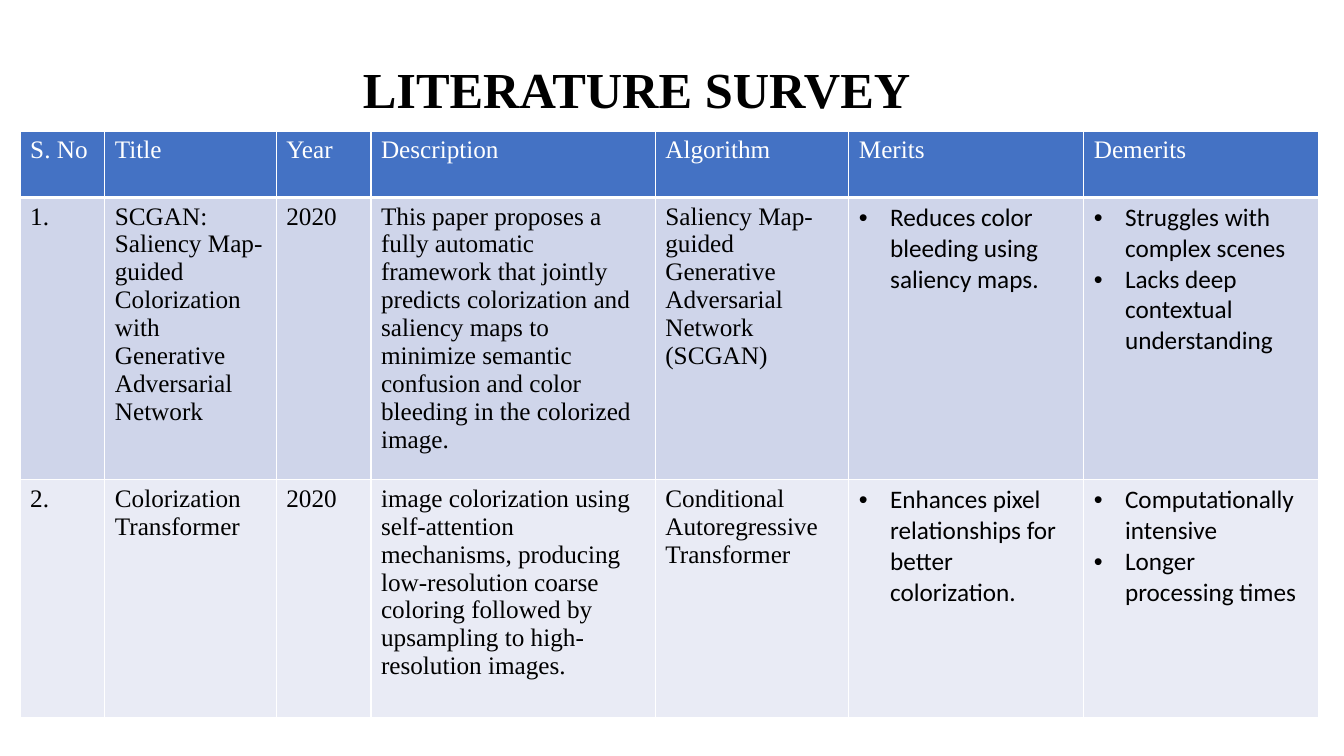
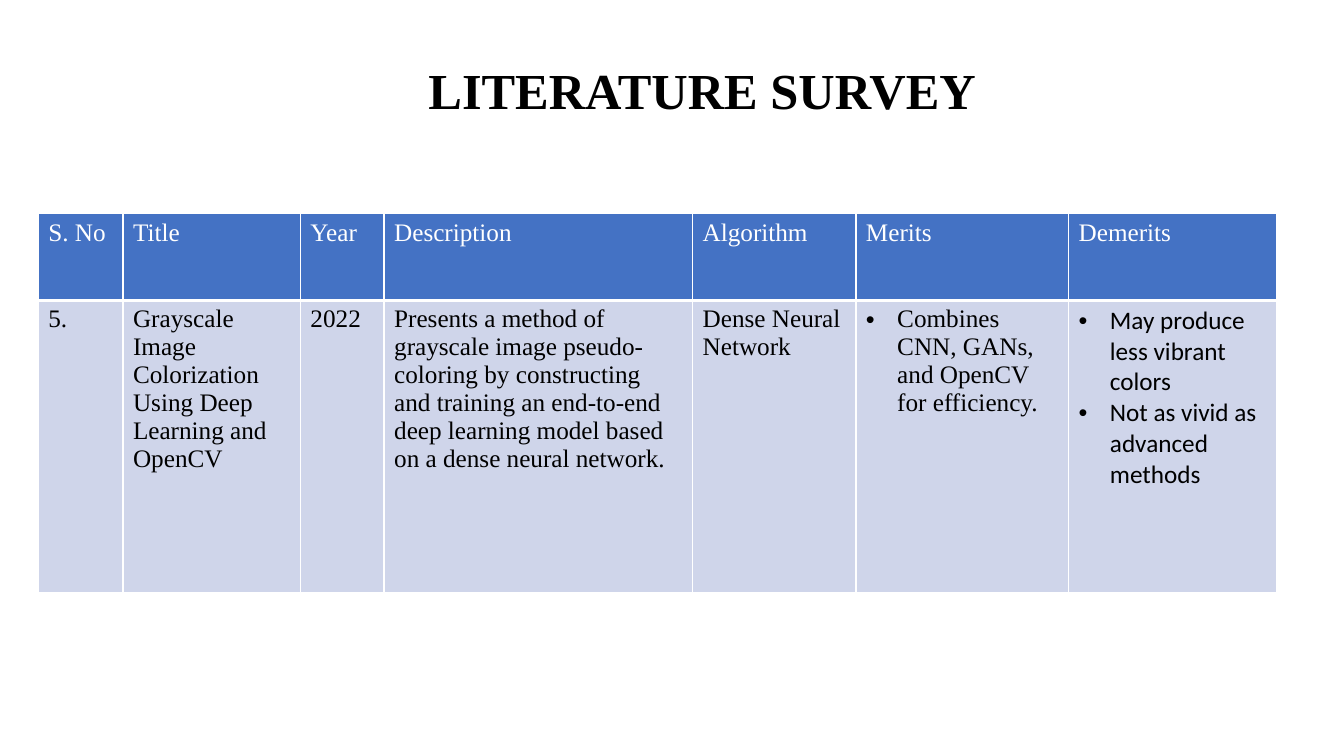
from dataclasses import dataclass

from lxml import etree
from pptx import Presentation
from pptx import util as u
from pptx.dml.color import RGBColor
from pptx.enum import text
from pptx.oxml import ns

PX = 9144  # EMU in one px, 100 px to the inch
COLORS = {
    "header": "4472C4",
    "odd_row": "CFD5EA",
    "even_row": "E9EBF5",
    "border": "FFFFFF",
    "header_text": "FFFFFF",
    "text": "000000",
}
SERIF, SANS = "Times New Roman", "Calibri"
TITLE = "LITERATURE SURVEY"
HEADERS = ["S. No", "Title", "Year", "Description", "Algorithm", "Merits", "Demerits"]
BULLET_INDENT = 31


@dataclass
class Bullets:
    items: list
    font: str = SANS


def px(length):
    return u.Emu(length * PX)


def color(name):
    return RGBColor.from_string(COLORS[name])


def add_run(paragraph, words, size, font, color_name, bold=False):
    run = paragraph.add_run()
    run.text = words
    run.font.size = u.Pt(size)
    run.font.name = font
    run.font.bold = bold
    run.font.color.rgb = color(color_name)


def add_bullet(paragraph):
    properties = paragraph._p.get_or_add_pPr()
    properties.set("marL", str(px(BULLET_INDENT)))
    properties.set("indent", str(px(-BULLET_INDENT)))
    etree.SubElement(properties, ns.qn("a:buFont"), typeface="Arial")
    etree.SubElement(properties, ns.qn("a:buChar"), char="•")


def set_borders(cell, bottom_width):
    properties = cell._tc.get_or_add_tcPr()
    for side, width in (("L", 1), ("R", 1), ("T", 1), ("B", bottom_width)):
        line = etree.SubElement(properties, ns.qn(f"a:ln{side}"), w=str(u.Pt(width)))
        fill = etree.SubElement(line, ns.qn("a:solidFill"))
        etree.SubElement(fill, ns.qn("a:srgbClr"), val=COLORS["border"])


def add_title(slide, box, anchor, shift=0):
    """Centre the title in the box, moved right by shift."""
    shape = slide.shapes.add_textbox(*map(px, box))
    frame = shape.text_frame
    frame.word_wrap = True
    frame.vertical_anchor = anchor
    frame.margin_left = px(10 + 2 * shift)
    paragraph = frame.paragraphs[0]
    paragraph.alignment = text.PP_ALIGN.CENTER
    paragraph.line_spacing = 0.9
    add_run(paragraph, TITLE, 36, SERIF, "text", bold=True)


def fill_cell(cell, content, fill_name, text_name, bottom_width):
    set_borders(cell, bottom_width)
    cell.fill.solid()
    cell.fill.fore_color.rgb = color(fill_name)
    bulleted = isinstance(content, Bullets)
    items = content.items if bulleted else [content]
    font = content.font if bulleted else SERIF
    frame = cell.text_frame
    for index, item in enumerate(items):
        paragraph = frame.add_paragraph() if index else frame.paragraphs[0]
        if bulleted:
            add_bullet(paragraph)
        add_run(paragraph, item, 18, font, text_name)


def add_survey_table(slide, left, top, widths, heights, papers):
    rows = [HEADERS] + papers
    frame = slide.shapes.add_table(len(rows), len(widths), px(left), px(top),
                                   px(sum(widths)), px(sum(heights)))
    table = frame.table
    table.first_row = table.horz_banding = False
    for column, width in zip(table.columns, widths):
        column.width = px(width)
    for row_index, (row, height, contents) in enumerate(zip(table.rows, heights, rows)):
        row.height = px(height)
        if row_index == 0:
            style = ("header", "header_text", 3)
        else:
            style = ("odd_row" if row_index % 2 else "even_row", "text", 1)
        for cell, content in zip(row.cells, contents):
            fill_cell(cell, content, *style)


def add_survey_slide(presentation, title, table):
    slide = presentation.slides.add_slide(presentation.slide_layouts[6])
    add_title(slide, **title)
    add_survey_table(slide, **table)


# Surveyed papers, one list per table row
FIRST_PAPERS = [
    ["1.",
     "SCGAN: Saliency Map-guided Colorization with Generative Adversarial Network",
     "2020",
     "This paper proposes a fully automatic framework that jointly predicts "
     "colorization and saliency maps to minimize semantic confusion and color "
     "bleeding in the colorized image.",
     "Saliency Map-guided Generative Adversarial Network (SCGAN)",
     Bullets(["Reduces color bleeding using saliency maps."]),
     Bullets(["Struggles with complex scenes", "Lacks deep contextual understanding"])],
    ["2.",
     "Colorization Transformer",
     "2020",
     "image colorization using self-attention mechanisms, producing low-resolution "
     "coarse coloring followed by upsampling to high-resolution images.",
     "Conditional Autoregressive Transformer",
     Bullets(["Enhances pixel relationships for better colorization."]),
     Bullets(["Computationally intensive", "Longer processing times"])],
]
LAST_PAPERS = [
    ["5.",
     "Grayscale Image Colorization Using Deep Learning and OpenCV",
     "2022",
     "Presents a method of grayscale image pseudo-coloring by constructing and "
     "training an end-to-end deep learning model based on a dense neural network.",
     "Dense Neural Network",
     Bullets(["Combines CNN, GANs, and OpenCV for efficiency."], SERIF),
     Bullets(["May produce less vibrant colors", "Not as vivid as advanced methods"])],
]


def main():
    presentation = Presentation()
    presentation.slide_width, presentation.slide_height = px(1333), px(750)
    add_survey_slide(
        presentation,
        title=dict(box=(117, 19, 1029, 104), anchor=text.MSO_ANCHOR.BOTTOM),
        table=dict(left=20, top=130, widths=[84, 170, 94, 282, 192, 233, 233],
                   heights=[66, 264, 236], papers=FIRST_PAPERS))
    add_survey_slide(
        presentation,
        title=dict(box=(167, 22, 975, 140), anchor=text.MSO_ANCHOR.MIDDLE, shift=42),
        table=dict(left=38, top=212, widths=[84, 176, 83, 306, 162, 211, 206],
                   heights=[86, 290], papers=LAST_PAPERS))
    presentation.save("out.pptx")


if __name__ == "__main__":
    main()
